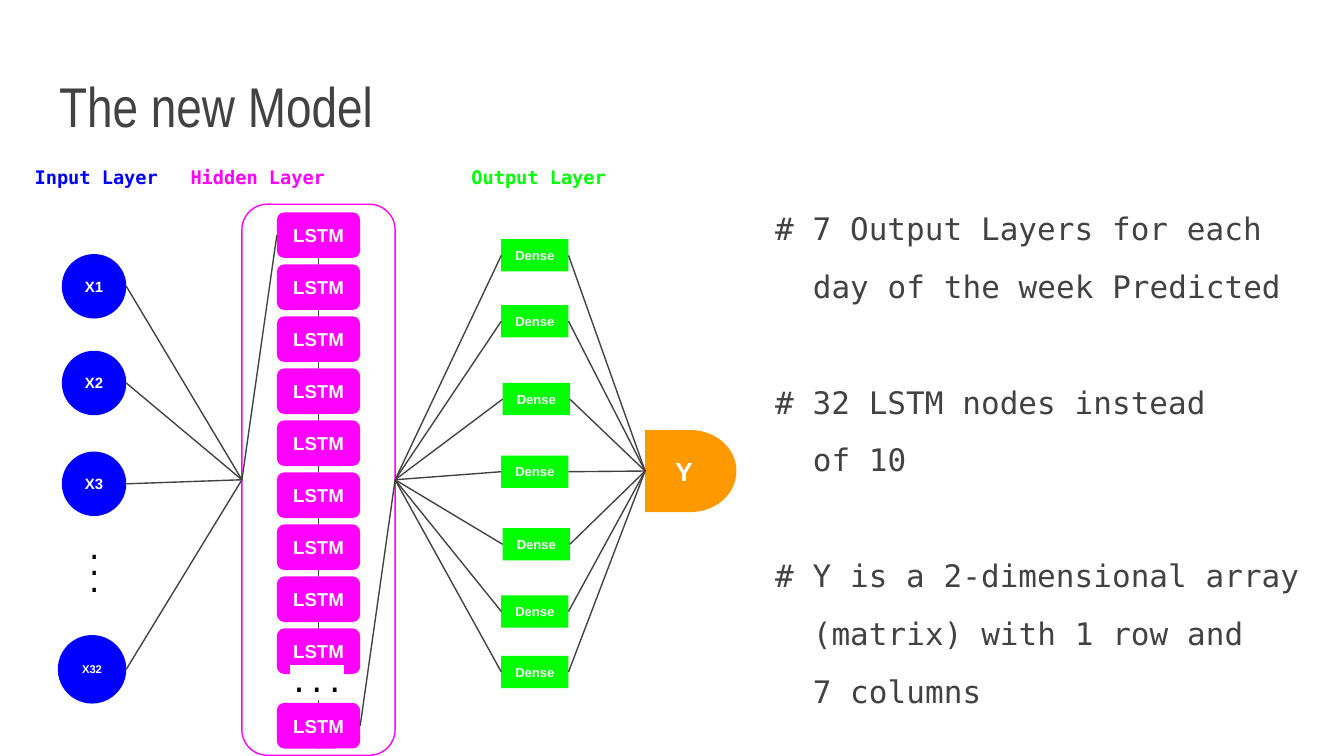
"""Build the slide that shows the layers of the new LSTM model."""
from lxml import etree
from pptx import Presentation
from pptx import util as u
from pptx.dml.color import RGBColor
from pptx.enum import shapes, text
from pptx.oxml.ns import qn

WIDTH, HEIGHT = 10, 10 * 9 / 16
SANS, MONO = "Arial", "DejaVu Sans Mono"
GREY, BLUE, PINK, GREEN = "424242", "0000FF", "FF00FF", "00FF00"
ORANGE, WHITE, BLACK = "FF9900", "FFFFFF", "000000"
KINDS = shapes.MSO_SHAPE
LEFT, RIGHT = 1, 3

TITLE = "The new Model"
HEADINGS = [("Input Layer", BLUE, 0), ("Hidden Layer", PINK, 1.16), ("Output Layer", GREEN, 3.25)]
INPUTS = [("X1", 2.13, 0.48, 8), ("X2", 2.85, 0.48, 8), ("X3", 3.6, 0.48, 8), ("X32", 4.98, 0.51, 6)]
INPUT_RIGHT = 0.94
LSTM_TOPS = [1.58 + 0.387 * row for row in range(9)] + [5.23]
DENSE_PLACES = [(3.73, 1.78), (3.73, 2.27), (3.74, 2.85), (3.73, 3.39),
                (3.74, 3.93), (3.73, 4.43), (3.73, 4.88)]
NOTES = [
    ["# 7 Output Layers for each", "day of the week Predicted"],
    ["# 32 LSTM nodes instead", "of 10"],
    ["# Y is a 2-dimensional array", "(matrix) with 1 row and", "7 columns"],
]


def colour(value):
    return RGBColor.from_string(value)


def style(font, size, name, value, bold=False):
    font.size, font.name, font.bold = u.Pt(size), name, bold
    font.color.rgb = colour(value)


def inches(*lengths):
    return [u.Inches(length) for length in lengths]


def add_node(slide, kind, box, fill, label="", size=10):
    node = slide.shapes.add_shape(kind, *inches(*box))
    node.shadow.inherit = False
    node.line.fill.background()
    node.fill.solid()
    node.fill.fore_color.rgb = colour(fill)
    frame = node.text_frame
    frame.margin_left = frame.margin_right = frame.margin_top = frame.margin_bottom = 0
    frame.vertical_anchor = text.MSO_ANCHOR.MIDDLE
    if label:
        label_line = frame.paragraphs[0]
        label_line.text = label
        label_line.alignment = text.PP_ALIGN.CENTER
        style(label_line.font, size, SANS, WHITE, True)
    return node


def add_link(slide, start, end):
    """Draw a straight line; each end is a point or a (shape, side) pair."""
    points = [(0, 0) if hasattr(e[0], "shape_id") else inches(*e) for e in (start, end)]
    link = slide.shapes.add_connector(shapes.MSO_CONNECTOR.STRAIGHT, *points[0], *points[1])
    for joint, connect in ((start, link.begin_connect), (end, link.end_connect)):
        if hasattr(joint[0], "shape_id"):
            connect(*joint)
    link.line.color.rgb = colour(GREY)
    link.line.width = u.Pt(0.75)
    etree.SubElement(link._element.spPr, qn("a:effectLst"))


def pad(frame):
    frame.margin_left = frame.margin_right = u.Inches(0.1)
    frame.margin_top = frame.margin_bottom = u.Inches(0.1)
    frame.word_wrap = True


def add_lines(slide, box, lines, size, value, spacing):
    frame = slide.shapes.add_textbox(*inches(*box)).text_frame
    pad(frame)
    for number, line in enumerate(lines):
        paragraph = frame.paragraphs[0] if number == 0 else frame.add_paragraph()
        paragraph.text = line
        paragraph.line_spacing = spacing
        style(paragraph.font, size, MONO, value)
    return frame


def add_title(slide):
    title = slide.shapes.title
    title.left, title.top, title.width, title.height = inches(0.34, 0.33, 9.32, 0.8)
    frame = title.text_frame
    pad(frame)
    frame.auto_size = text.MSO_AUTO_SIZE.NONE
    frame.vertical_anchor = text.MSO_ANCHOR.BOTTOM
    heading = frame.paragraphs[0]
    heading.text = TITLE
    heading.alignment = text.PP_ALIGN.LEFT
    style(heading.font, 30, "Arial Narrow", GREY)


def add_headings(slide):
    frame = slide.shapes.add_textbox(*inches(0.16, 1.15, 4.86, 0.37)).text_frame
    pad(frame)
    line = frame.paragraphs[0]
    stops = etree.SubElement(line._p.get_or_add_pPr(), qn("a:tabLst"))
    for label, value, offset in HEADINGS:
        if offset:
            etree.SubElement(stops, qn("a:tab"), pos=str(u.Inches(offset)), algn="l")
        run = line.add_run()
        run.text = "\t" + label if offset else label
        run.font.color.rgb = colour(value)
    line.font.size, line.font.name, line.font.bold = u.Pt(10), MONO, True


def add_network(slide):
    hidden = add_node(slide, KINDS.ROUNDED_RECTANGLE, (1.8, 1.52, 1.14, 4.1), WHITE)
    hidden.fill.background()
    hidden.line.color.rgb = colour(PINK)
    hidden.line.width = u.Pt(0.75)
    add_link(slide, (2.37, 1.92), (2.37, 5.57))

    lstms = [add_node(slide, KINDS.ROUNDED_RECTANGLE, (2.06, top, 0.62, 0.34), PINK, "LSTM")
             for top in LSTM_TOPS]
    result = add_node(slide, KINDS.FLOWCHART_DELAY, (4.8, 3.2, 0.68, 0.61), ORANGE, "Y", 14)

    for label, middle, size, points in INPUTS:
        box = (INPUT_RIGHT - size, middle - size / 2, size, size)
        add_node(slide, KINDS.OVAL, box, BLUE, label, points)
        add_link(slide, (INPUT_RIGHT, middle), (hidden, LEFT))
    for place in DENSE_PLACES:
        dense = add_node(slide, KINDS.RECTANGLE, (*place, 0.5, 0.24), GREEN, "Dense", 7)
        add_link(slide, (hidden, RIGHT), (dense, LEFT))
        add_link(slide, (dense, RIGHT), (result, LEFT))

    add_lines(slide, (0.54, 3.96, 0.32, 0.58), "...", 15, BLACK, 0.5)
    more = add_lines(slide, (2.06, 4.98, 0.9, 0.46), ["..."], 16, BLACK, 0.5)
    run_style = more.paragraphs[0].runs[0]._r.get_or_add_rPr()
    highlight = etree.SubElement(run_style, qn("a:highlight"))
    etree.SubElement(highlight, qn("a:srgbClr"), val=WHITE)
    add_link(slide, (hidden, LEFT), (lstms[0], LEFT))
    add_link(slide, (lstms[-1], RIGHT), (hidden, RIGHT))


def add_notes(slide):
    lines = [line for note in NOTES for line in note]
    frame = add_lines(slide, (5.67, 1.48, 4.33, 3.98), lines, 16.64, GREY, 0.95)
    for number, paragraph in enumerate(frame.paragraphs):
        starts_note = paragraph.text.startswith("#")
        if number:
            paragraph.space_before = u.Pt(43 if starts_note else 12)
        if not starts_note:
            paragraph._p.get_or_add_pPr().set("marL", str(u.Inches(0.28)))


def main():
    deck = Presentation()
    deck.slide_width, deck.slide_height = inches(WIDTH, HEIGHT)
    slide = deck.slides.add_slide(deck.slide_layouts[5])
    add_title(slide)
    add_network(slide)
    add_notes(slide)
    add_headings(slide)
    deck.save("out.pptx")


if __name__ == "__main__":
    main()
